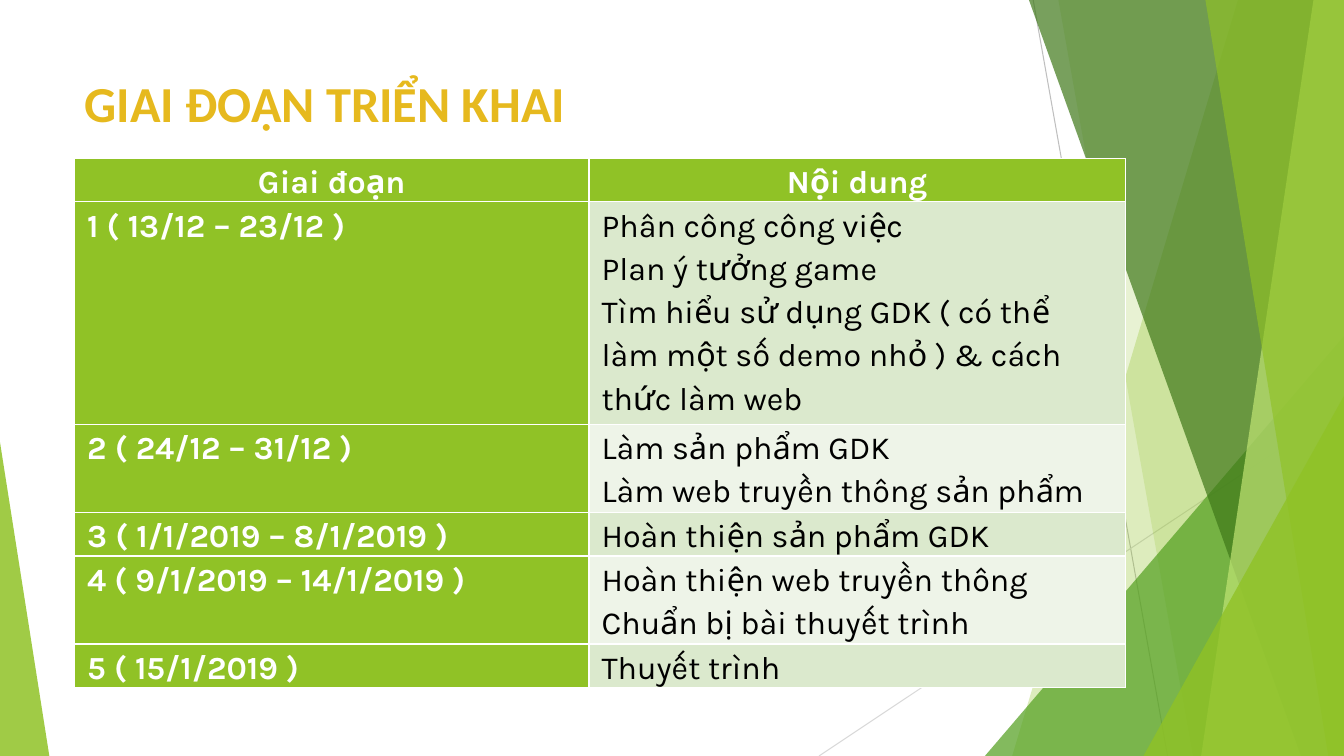
from dataclasses import dataclass

from lxml.etree import SubElement
from pptx import Presentation
from pptx.dml.color import RGBColor
from pptx.enum.shapes import MSO_CONNECTOR as Connector, MSO_SHAPE as Preset
from pptx.enum.text import MSO_ANCHOR as Anchor, MSO_AUTO_SIZE as AutoSize, PP_ALIGN as Align
from pptx.oxml.ns import qn
from pptx.util import Pt

# Content
TITLE = "GIAI ĐOẠN TRIỂN KHAI"
HEADER = ("Giai đoạn", ["Nội dung"])
STAGES = [
    ("1 ( 13/12 – 23/12 )", [
        "Phân công công việc",
        "Plan ý tưởng game",
        "Tìm hiểu sử dụng GDK ( có thể làm một số demo nhỏ ) & cách thức làm web",
    ]),
    ("2 ( 24/12 – 31/12 )", ["Làm sản phẩm GDK", "Làm web truyền thông sản phẩm"]),
    ("3 ( 1/1/2019 – 8/1/2019 )", ["Hoàn thiện sản phẩm GDK"]),
    ("4 ( 9/1/2019 – 14/1/2019 )", ["Hoàn thiện web truyền thông", "Chuẩn bị bài thuyết trình"]),
    ("5 ( 15/1/2019 )", ["Thuyết trình"]),
]


@dataclass(frozen=True)
class Theme:
    green: str = "90C226"
    leaf: str = "54A021"
    forest: str = "3F7819"
    lime: str = "C0E474"
    gold: str = "E6B91E"
    white: str = "FFFFFF"
    black: str = "000000"
    bands: tuple = ("DBE9CD", "EEF4E8")
    title_font: str = "Calibri"
    table_font: str = "Karla"
    title_size: int = 36
    table_size: int = 23


THEME = Theme()

# Layout in px
PX = 9525
WIDTH, HEIGHT = 1280, 720
TITLE_BOX = (71, 64, 902, 138)
TABLE_LEFT, TABLE_TOP = 71, 151
COLUMNS = (490, 511)
ROWS = (41, 212, 84, 41, 84, 41)
CELL_INSET = 12

# Decoration: start, end, colour
RAYS = [((984, 0), (1112, HEIGHT), "BFBFBF"), ((WIDTH, 387), (780, HEIGHT), "D9D9D9")]
# Back to front: a band has its left edge at top and bottom,
# a triangle has left, top, width and the position of its tip
FACETS = [
    ("band", (1179, 964), THEME.green, 30),
    ("band", (1008, 1136), THEME.green, 20),
    ("triangle", (938, 320, 342, 1), THEME.leaf, 72),
    ("band", (980, 1239), THEME.forest, 70),
    ("band", (1251, 1144), THEME.lime, 70),
    ("band", (1148, 1265), THEME.green, 65),
    ("triangle", (1089, 377, 191, 1), THEME.green, 80),
    ("triangle", (0, 421, 47, 0), THEME.green, 85),
]


def emu(*lengths):
    return [length * PX for length in lengths]


def rgb(colour):
    return RGBColor.from_string(colour)


def style_runs(paragraph, font_name, size, colour, bold):
    for run in paragraph.runs:
        run.font.name = font_name
        run.font.size = Pt(size)
        run.font.color.rgb = rgb(colour)
        run.font.bold = bold


def add_ray(slide, start, end, colour):
    ray = slide.shapes.add_connector(Connector.STRAIGHT, *emu(*start, *end))
    ray.line.color.rgb = rgb(colour)
    ray.line.width = Pt(0.75)
    SubElement(ray.element.spPr, qn("a:effectLst"))


def add_facet(slide, kind, geometry, colour, opacity):
    if kind == "band":
        top_x, bottom_x = geometry
        builder = slide.shapes.build_freeform(top_x, 0, scale=PX)
        builder.add_line_segments([(WIDTH, 0), (WIDTH, HEIGHT), (bottom_x, HEIGHT)], close=True)
        shape = builder.convert_to_shape()
    else:
        left, top, width, tip = geometry
        shape = slide.shapes.add_shape(
            Preset.ISOSCELES_TRIANGLE, *emu(left, top, width, HEIGHT - top))
        shape.adjustments[0] = tip
    shape.shadow.inherit = False
    shape.line.fill.background()
    shape.fill.solid()
    shape.fill.fore_color.rgb = rgb(colour)
    colour_element = shape.element.spPr.find(qn("a:solidFill"))[0]
    SubElement(colour_element, qn("a:alpha"), val=str(opacity * 1000))


def place_title(slide):
    title = slide.shapes.title
    title.left, title.top, title.width, title.height = emu(*TITLE_BOX)
    frame = title.text_frame
    frame.text = TITLE
    frame.word_wrap = True
    frame.auto_size = AutoSize.NONE
    frame.vertical_anchor = Anchor.TOP
    paragraph = frame.paragraphs[0]
    paragraph.alignment = Align.LEFT
    style_runs(paragraph, THEME.title_font, THEME.title_size, THEME.gold, True)
    # Bring the title in front of the decoration
    title.element.getparent().append(title.element)


def fill_cell(cell, lines, fill, colour, bold, alignment):
    cell.fill.solid()
    cell.fill.fore_color.rgb = rgb(fill)
    cell.margin_left = cell.margin_right = CELL_INSET * PX
    cell.margin_top = cell.margin_bottom = 0
    cell.text_frame.text = "\n".join(lines)
    for paragraph in cell.text_frame.paragraphs:
        paragraph.alignment = alignment
        paragraph.line_spacing = 1.15
        style_runs(paragraph, THEME.table_font, THEME.table_size, colour, bold)


def add_stage_table(slide):
    frame = slide.shapes.add_table(
        len(ROWS), len(COLUMNS), *emu(TABLE_LEFT, TABLE_TOP, sum(COLUMNS), sum(ROWS)))
    table = frame.table
    for column, width in zip(table.columns, COLUMNS):
        column.width = width * PX
    for row, height in zip(table.rows, ROWS):
        row.height = height * PX
    for index, (stage, tasks) in enumerate([HEADER, *STAGES]):
        is_header = index == 0
        alignment = Align.CENTER if is_header else Align.LEFT
        fill = THEME.green if is_header else THEME.bands[(index - 1) % 2]
        colour = THEME.white if is_header else THEME.black
        fill_cell(table.cell(index, 0), [stage], THEME.green, THEME.white, True, alignment)
        fill_cell(table.cell(index, 1), tasks, fill, colour, is_header, alignment)


def main():
    presentation = Presentation()
    presentation.slide_width, presentation.slide_height = emu(WIDTH, HEIGHT)
    slide = presentation.slides.add_slide(presentation.slide_layouts[5])
    for ray in RAYS:
        add_ray(slide, *ray)
    for facet in FACETS:
        add_facet(slide, *facet)
    place_title(slide)
    add_stage_table(slide)
    presentation.save("out.pptx")


if __name__ == "__main__":
    main()
